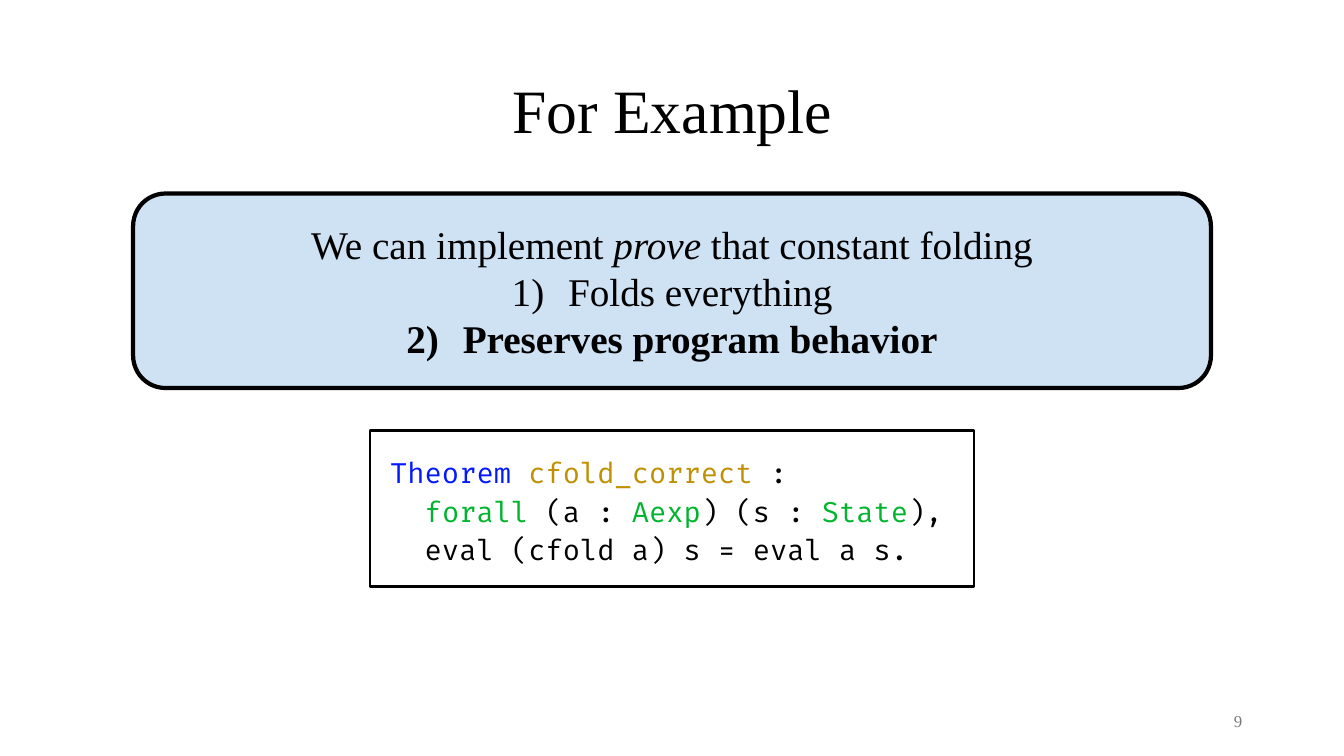
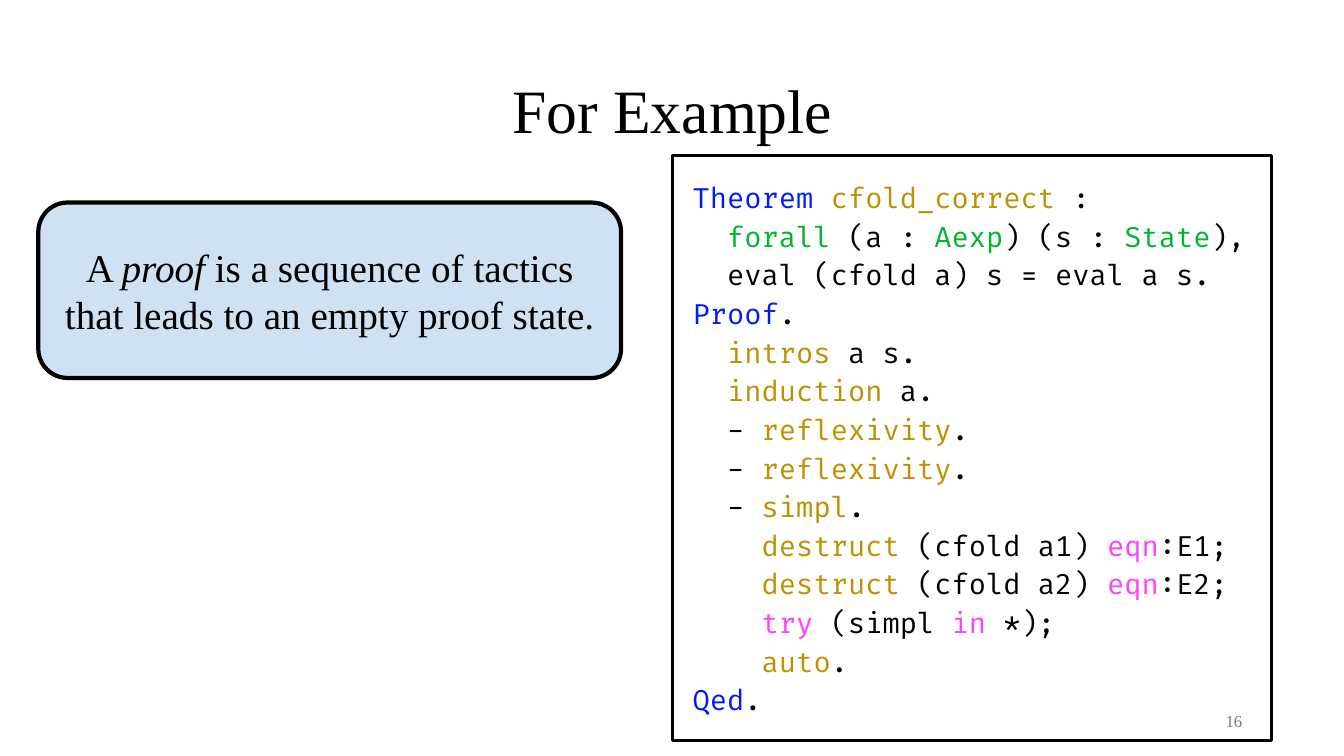
import pptx
import pptx.dml.color
import pptx.enum.shapes
import pptx.enum.text
import pptx.oxml
import pptx.oxml.ns
import pptx.util

Inches = pptx.util.Inches
Pt = pptx.util.Pt
SHAPES = pptx.enum.shapes.MSO_SHAPE
ALIGN = pptx.enum.text.PP_ALIGN
ANCHOR = pptx.enum.text.MSO_ANCHOR
AUTO_SIZE = pptx.enum.text.MSO_AUTO_SIZE

SERIF = "Times New Roman"
INK = "000000"
RUN_KINDS = {
    "plain": {},
    "italic": {"italic": True},
    "bold": {"bold": True},
    "keyword": {"color": "0019FF"},
    "tactic": {"color": "BF9001"},
    "type": {"color": "00B52D"},
    "control": {"color": "FF40FF"},
}
TITLE = {
    "font": {"name": SERIF, "size": Pt(44)},
    "paragraph": {"alignment": ALIGN.CENTER, "line_spacing": 0.9},
    "frame": {"vertical_anchor": ANCHOR.MIDDLE},
}
PAGE_NUMBER = {
    "font": {"name": SERIF, "size": Pt(12)},
    "color": "797979",
    "paragraph": {"alignment": ALIGN.RIGHT},
    "frame": {"vertical_anchor": ANCHOR.MIDDLE},
}
CALLOUT = {
    "outline": SHAPES.ROUNDED_RECTANGLE,
    "fill": "CFE2F3",
    "line": 3,
    "inset": 0.1,
    "font": {"name": SERIF, "size": Pt(28)},
    "paragraph": {"alignment": ALIGN.CENTER},
    "frame": {"vertical_anchor": ANCHOR.MIDDLE},
}
CODE = {
    "outline": SHAPES.RECTANGLE,
    "line": 2,
    "inset": 0.2,
    "font": {"name": "Fira Code", "size": Pt(20)},
    "paragraph": {"alignment": ALIGN.LEFT, "line_spacing": 1.15},
    "frame": {"vertical_anchor": ANCHOR.TOP, "auto_size": AUTO_SIZE.SHAPE_TO_FIT_TEXT},
}


def rgb(value):
    return pptx.dml.color.RGBColor.from_string(value)


def add_text(slide, place, style, lines, numbered_from=None):
    box = [Inches(length) for length in place]
    if "outline" in style:
        holder = slide.shapes.add_shape(style["outline"], *box)
        holder.shadow.inherit = False
        holder.line.color.rgb = rgb(INK)
        holder.line.width = Pt(style["line"])
        if "fill" in style:
            holder.fill.solid()
            holder.fill.fore_color.rgb = rgb(style["fill"])
        else:
            holder.fill.background()
    else:
        holder = slide.shapes.add_textbox(*box)
    frame = holder.text_frame
    frame.word_wrap = True
    for attribute, value in style["frame"].items():
        setattr(frame, attribute, value)
    if "inset" in style:
        for side in ("left", "top", "right", "bottom"):
            setattr(frame, f"margin_{side}", Inches(style["inset"]))
    for index, line in enumerate(lines):
        paragraph = frame.paragraphs[0] if index == 0 else frame.add_paragraph()
        for attribute, value in style["paragraph"].items():
            setattr(paragraph, attribute, value)
        if numbered_from is not None and index >= numbered_from:
            properties = paragraph._p.get_or_add_pPr()
            properties.set("marL", str(Inches(0.56)))
            properties.set("indent", str(-Inches(0.56)))
            properties.append(pptx.oxml.parse_xml(
                f'<a:buAutoNum {pptx.oxml.ns.nsdecls("a")} type="arabicParenR"/>'))
        for kind, text in line:
            run = paragraph.add_run()
            run.text = text
            looks = {"color": style.get("color", INK), **style["font"], **RUN_KINDS[kind]}
            run.font.color.rgb = rgb(looks.pop("color"))
            for attribute, value in looks.items():
                setattr(run.font, attribute, value)


theorem = [
    [("keyword", "Theorem "), ("tactic", "cfold_correct"), ("plain", " :")],
    [("plain", "  "), ("type", "forall"), ("plain", " (a : "), ("type", "Aexp"),
     ("plain", ") (s : "), ("type", "State"), ("plain", "),")],
    [("plain", "  eval (cfold a) s = eval a s.")],
]
simple_steps = [
    [("plain", lead), ("tactic", tactic), ("plain", rest)]
    for lead, tactic, rest in [
        ("  ", "intros", " a s."),
        ("  ", "induction", " a."),
        ("  - ", "reflexivity", "."),
        ("  - ", "reflexivity", "."),
        ("  - ", "simpl", "."),
    ]
]
case_splits = [
    [("plain", "    "), ("tactic", "destruct"), ("plain", f" (cfold a{case}) "),
     ("control", "eqn"), ("plain", f":E{case};")]
    for case in (1, 2)
]
proof = [
    [("keyword", "Proof"), ("plain", ".")],
    *simple_steps,
    *case_splits,
    [("plain", "    "), ("control", "try"), ("plain", " (simpl "),
     ("control", "in"), ("plain", " *);")],
    [("plain", "    "), ("tactic", "auto"), ("plain", ".")],
    [("keyword", "Qed"), ("plain", ".")],
]
goals = [
    [("plain", "We can implement "), ("italic", "prove "), ("plain", "that constant folding")],
    [("plain", "Folds everything")],
    [("bold", "Preserves program behavior")],
]
proof_definition = [
    [("plain", "A "), ("italic", "proof"),
     ("plain", " is a sequence of tactics that leads to an empty proof state.")],
]
pages = [
    {"number": "9", "callout": goals, "callout_at": (1.32, 1.92, 10.69, 1.93),
     "numbered_from": 1, "code": theorem, "code_at": (3.67, 4.27, 5.99, 1.55)},
    {"number": "16", "callout": proof_definition, "callout_at": (0.38, 2.01, 5.78, 1.74),
     "numbered_from": None, "code": theorem + proof, "code_at": (6.67, 1.54, 5.94, 5.81)},
]

deck = pptx.Presentation()
deck.slide_width = Inches(13.33)
deck.slide_height = Inches(7.5)
for page in pages:
    slide = deck.slides.add_slide(deck.slide_layouts[6])
    add_text(slide, (0.92, 0.4, 11.5, 1.45), TITLE, [[("plain", "For Example")]])
    add_text(slide, (9.42, 6.95, 3, 0.4), PAGE_NUMBER, [[("plain", page["number"])]])
    add_text(slide, page["callout_at"], CALLOUT, page["callout"], page["numbered_from"])
    add_text(slide, page["code_at"], CODE, page["code"])
deck.save("out.pptx")
